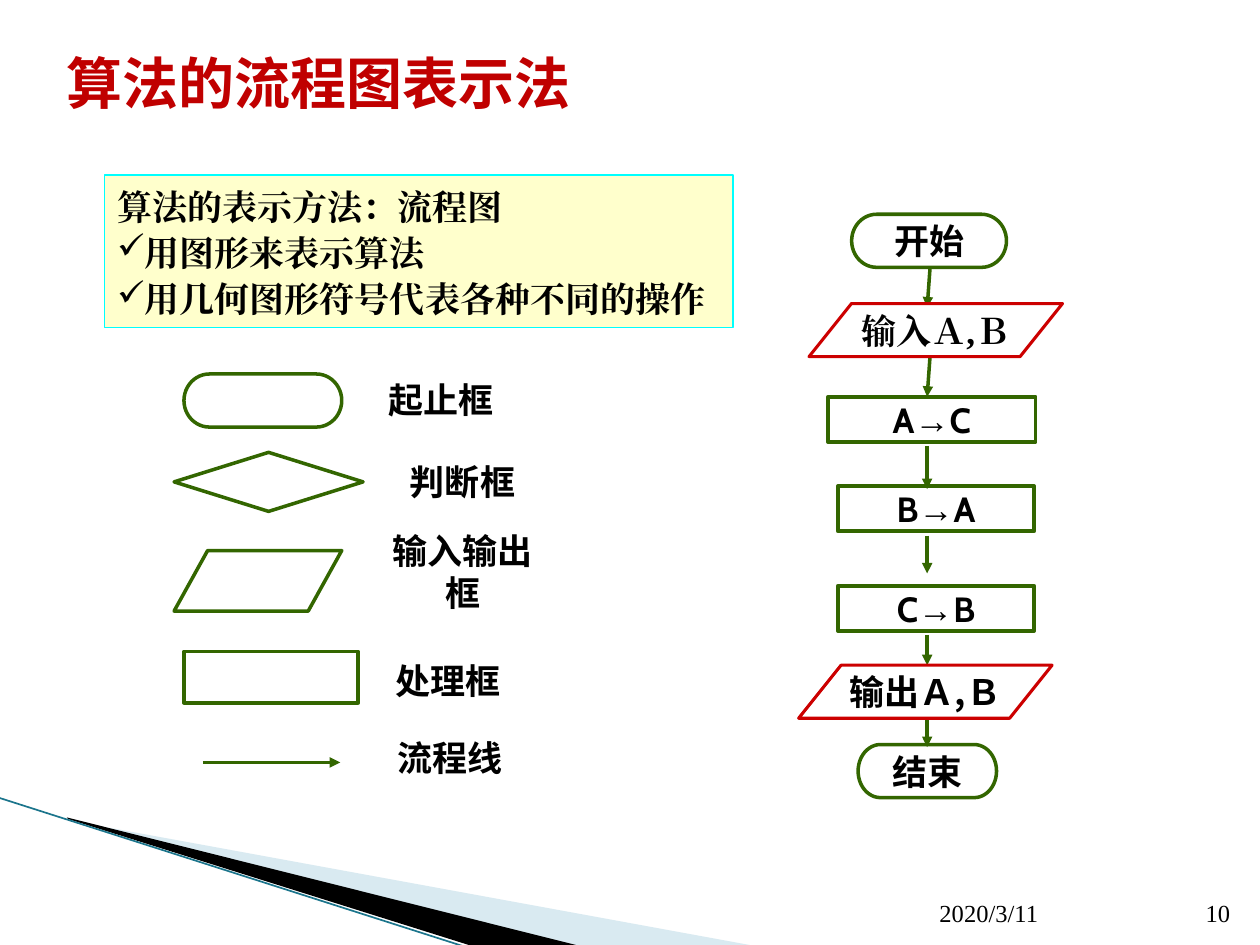
import pptx
import pptx.dml.color
import pptx.enum.shapes
import pptx.enum.text
import pptx.oxml.ns
import pptx.util
from lxml import etree

Cm = pptx.util.Cm
Pt = pptx.util.Pt
RGBColor = pptx.dml.color.RGBColor
SHAPE = pptx.enum.shapes.MSO_SHAPE
ANCHOR = pptx.enum.text.MSO_ANCHOR
ALIGN = pptx.enum.text.PP_ALIGN
qn = pptx.oxml.ns.qn

BLACK = RGBColor(0x00, 0x00, 0x00)
WHITE = RGBColor(0xFF, 0xFF, 0xFF)
GREEN = RGBColor(0x33, 0x66, 0x00)
RED = RGBColor(0xCC, 0x00, 0x00)
TITLE_RED = RGBColor(0xC0, 0x00, 0x00)
CREAM = RGBColor(0xFF, 0xFF, 0xCC)
CYAN = RGBColor(0x00, 0xFF, 0xFF)
PALE_BLUE = RGBColor(0xA0, 0xCB, 0xDC)
TEAL = RGBColor(0x1B, 0x75, 0x8C)

CABIN, TIMES, NOTO = "Cabin", "Times New Roman", "Noto Sans CJK SC"

deck = pptx.Presentation()
deck.slide_width, deck.slide_height = Cm(25.4), Cm(19.05)
slide = deck.slides.add_slide(deck.slide_layouts[6])
shapes = slide.shapes


def write(paragraph, runs, align=ALIGN.CENTER, size=20, bold=True, color=BLACK):
    """Add (text, font name) runs, with the name also set for Chinese glyphs."""
    paragraph.alignment = align
    for text, font_name in runs:
        run = paragraph.add_run()
        run.text = text
        font_format = {"name": font_name, "size": Pt(size), "bold": bold}
        for attribute, value in font_format.items():
            setattr(run.font, attribute, value)
        run.font.color.rgb = color
        etree.SubElement(run.font._element, qn("a:ea"), typeface=font_name)


def paint(shape, line_color, line_width, fill_color=None):
    shape.shadow.inherit = False
    if fill_color is None:
        shape.fill.background()
    else:
        shape.fill.solid()
        shape.fill.fore_color.rgb = fill_color
    if line_color is None:
        shape.line.fill.background()
    else:
        shape.line.color.rgb = line_color
        shape.line.width = Pt(line_width)


# Corner decoration
wedges = [
    (PALE_BLUE, 40, [(1.4, 16.54), (15.11, 19.05), (11.58, 19.05), (1.4, 16.51)]),
    (BLACK, 100, [(1.35, 16.48), (11.61, 19.05), (9.45, 19.05), (1.37, 16.51)]),
]
for wedge_color, opacity, corners in wedges:
    start, *rest = [(Cm(x), Cm(y)) for x, y in corners]
    builder = shapes.build_freeform(*start, scale=1.0)
    builder.add_line_segments(rest, close=True)
    wedge = builder.convert_to_shape()
    paint(wedge, None, 0, wedge_color)
    if opacity < 100:
        solid_color = wedge._element.spPr.find(".//" + qn("a:srgbClr"))
        etree.SubElement(solid_color, qn("a:alpha"), val=str(opacity * 1000))

# Title, date, page number and symbol names
captions = [
    ("2020/3/11", (18.69, 17.81, 3.71, 1.02), TIMES, ALIGN.LEFT, ANCHOR.BOTTOM, 14, False, BLACK),
    ("10", (24.03, 17.81, 1.02, 1.02), TIMES, ALIGN.RIGHT, ANCHOR.BOTTOM, 14, False, BLACK),
    ("算法的流程图表示法", (1.09, 0.74, 21.59, 1.83), NOTO, ALIGN.LEFT, ANCHOR.MIDDLE, 32, True, TITLE_RED),
]
symbol_names = [
    ("起止框", (7.09, 7.32, 3.61, 1.47)),
    ("判断框", (7.52, 9.12, 3.61, 1.19)),
    ("输入输出框", (7.52, 10.92, 3.61, 1.22)),
    ("处理框", (7.39, 13.13, 3.3, 1.19)),
    ("流程线", (7.26, 14.53, 3.61, 1.47)),
]
captions += [
    (name, place, CABIN, ALIGN.CENTER, ANCHOR.MIDDLE, 20, True, BLACK)
    for name, place in symbol_names
]
for text, place, font_name, align, anchor, size, bold, color in captions:
    frame = shapes.add_textbox(*map(Cm, place)).text_frame
    frame.word_wrap = False
    frame.vertical_anchor = anchor
    write(frame.paragraphs[0], [(text, font_name)], align, size, bold, color)

# Symbols of the legend, then steps of the flow chart
start_end, process = SHAPE.FLOWCHART_TERMINATOR, SHAPE.FLOWCHART_PROCESS
green_boxes = [
    (start_end, (3.71, 7.54, 3.18, 1.07), []),
    (SHAPE.FLOWCHART_DECISION, (3.51, 9.12, 3.81, 1.19), []),
    (SHAPE.FLOWCHART_DATA, (3.51, 11.1, 3.38, 1.22), []),
    (process, (3.71, 13.13, 3.51, 1.04), []),
    (start_end, (17.17, 4.32, 3.12, 1.07), [("开始", CABIN)]),
    (process, (16.69, 8, 4.19, 0.91), [("A", CABIN), ("→", TIMES), ("C", CABIN)]),
    (process, (16.89, 9.8, 3.96, 0.91), [("B", CABIN), ("→", TIMES), ("A", CABIN)]),
    (process, (16.89, 11.81, 3.96, 0.91), [("C", CABIN), ("→", TIMES), ("B", CABIN)]),
    (start_end, (17.3, 15.01, 2.79, 1.07), [("结束", CABIN)]),
]
red_boxes = [
    (SHAPE.PARALLELOGRAM, (16.31, 6.12, 5.11, 1.07), [("输入Ａ,Ｂ", TIMES)]),
    (SHAPE.PARALLELOGRAM, (16.1, 13.41, 5.11, 1.07), [("输出Ａ,Ｂ", NOTO)]),
]

# Lines run beneath the red boxes
lines = [
    (-0.03, 16.08, 9.42, 19.1, TEAL, 0.95, False),
    (4.09, 15.37, 6.86, 15.37, GREEN, 2, True),
]
flow_x = 18.69
flow_arrows = [
    (18.75, 5.38, 6.2), (18.75, 7.16, 8), (flow_x, 8.99, 9.86),
    (flow_x, 10.8, 11.56), (flow_x, 12.8, 13.41), (flow_x, 14.4, 15.06),
]
lines += [(x, top, flow_x, bottom, GREEN, 2, True) for x, top, bottom in flow_arrows]
for *ends, color, width, has_head in lines:
    line = shapes.add_connector(pptx.enum.shapes.MSO_CONNECTOR.STRAIGHT, *map(Cm, ends))
    line.line.color.rgb = color
    line.line.width = Pt(width)
    if has_head:
        etree.SubElement(line.line._get_or_add_ln(), qn("a:tailEnd"), type="triangle")
    etree.SubElement(line._element.spPr, qn("a:effectLst"))

for boxes, line_color, width, fill_color in [
    (green_boxes, GREEN, 2, None),
    (red_boxes, RED, 1.75, WHITE),
]:
    for kind, place, runs in boxes:
        box = shapes.add_shape(kind, *map(Cm, place))
        if kind == SHAPE.PARALLELOGRAM:
            box.adjustments[0] = 0.8
        paint(box, line_color, width, fill_color)
        box.text_frame.word_wrap = False
        box.text_frame.vertical_anchor = ANCHOR.MIDDLE
        write(box.text_frame.paragraphs[0], runs)

# Summary
summary = shapes.add_shape(SHAPE.RECTANGLE, *map(Cm, (2.11, 3.53, 12.67, 3.07)))
paint(summary, CYAN, 0.75, CREAM)
summary_frame = summary.text_frame
summary_frame.word_wrap = True
summary_frame.vertical_anchor = ANCHOR.TOP
statements = ["算法的表示方法：流程图", "用图形来表示算法", "用几何图形符号代表各种不同的操作"]
for index, statement in enumerate(statements):
    paragraph = summary_frame.add_paragraph() if index else summary_frame.paragraphs[0]
    paragraph.line_spacing = 1.1
    if index:
        etree.SubElement(paragraph._p.get_or_add_pPr(), qn("a:buChar"), char="✓")
    write(paragraph, [(statement, TIMES)], ALIGN.LEFT)

deck.save("out.pptx")
